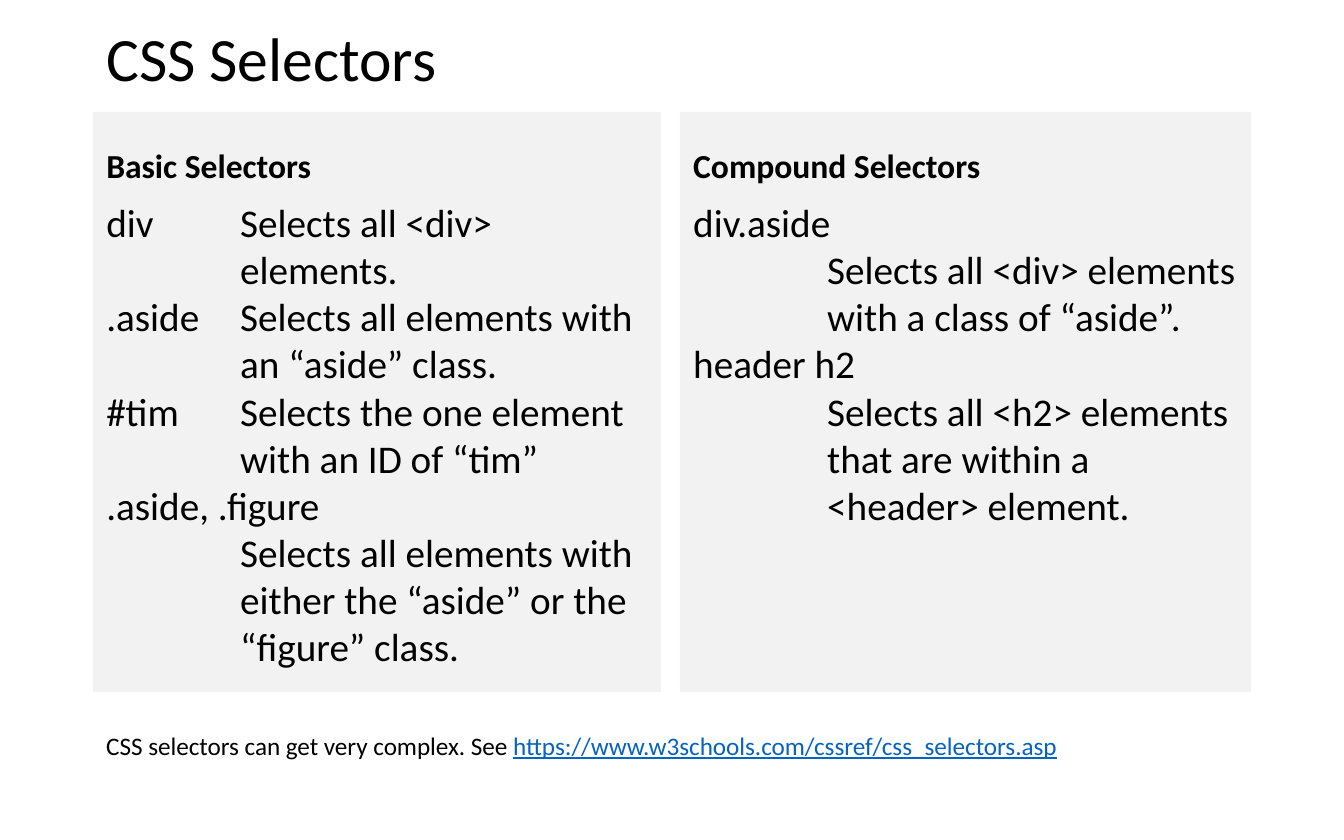
"""Build the CSS Selectors slide with two panels of selector definitions."""
from dataclasses import dataclass

from pptx import Presentation
from pptx import util as u
from pptx.dml.color import RGBColor
from pptx.enum import shapes, text


@dataclass(frozen=True)
class Theme:
    font: str = "Calibri"
    ink: RGBColor = RGBColor(0, 0, 0)
    link: RGBColor = RGBColor(0x05, 0x63, 0xC1)
    panel: RGBColor = RGBColor(0xF2, 0xF2, 0xF2)
    title: float = 33
    heading: float = 18
    body: float = 21
    note: float = 13.5


THEME = Theme()
TOP, LEFT = text.MSO_ANCHOR.TOP, text.PP_ALIGN.LEFT


def px(count):
    return u.Emu(round(count * 914400 / 134.4))


def write(shape, lines, size, anchor=TOP, bold=False, spacing=1.0, hanging=0):
    frame = shape.text_frame
    frame.word_wrap = True
    frame.vertical_anchor = anchor
    for index, line in enumerate(lines):
        paragraph = frame.add_paragraph() if index else frame.paragraphs[0]
        paragraph.text = line
        paragraph.alignment = LEFT
        paragraph.line_spacing = spacing
        if hanging:
            properties = paragraph._p.get_or_add_pPr()
            properties.set("marL", str(px(hanging)))
            properties.set("indent", str(-px(hanging)))
        for run in paragraph.runs:
            run.font.name = THEME.font
            run.font.size = u.Pt(size)
            run.font.bold = bold
            run.font.color.rgb = THEME.ink


presentation = Presentation()
presentation.slide_width, presentation.slide_height = px(1344), px(840)
slide = presentation.slides.add_slide(presentation.slide_layouts[6])

title = slide.shapes.add_textbox(px(93), px(11), px(1159), px(101))
write(title, ["CSS Selectors"], THEME.title, text.MSO_ANCHOR.MIDDLE, spacing=0.9)

columns = [
    (93, 568, "Basic Selectors", [
        "div\tSelects all <div> elements.",
        ".aside\tSelects all elements with an “aside” class.",
        "#tim\tSelects the one element with an ID of “tim”",
        ".aside, .figure\vSelects all elements with either the “aside” or the “figure” class.",
    ]),
    (680, 571, "Compound Selectors", [
        "div.aside",
        "\tSelects all <div> elements with a class of “aside”.",
        "header h2",
        "\tSelects all <h2> elements that are within a <header> element.",
    ]),
]
for left, width, heading, definitions in columns:
    heading_panel, body_panel = [
        slide.shapes.add_shape(shapes.MSO_SHAPE.RECTANGLE, px(left), px(top), px(width), px(height))
        for top, height in ((112, 80), (192, 500))
    ]
    for panel in (heading_panel, body_panel):
        panel.shadow.inherit = False
        panel.fill.solid()
        panel.fill.fore_color.rgb = THEME.panel
        panel.line.fill.background()
    write(heading_panel, [heading], THEME.heading, text.MSO_ANCHOR.BOTTOM, bold=True, spacing=0.9)
    write(body_panel, definitions, THEME.body, hanging=134)

note = slide.shapes.add_textbox(px(93), px(724), px(1095), px(44))
write(note, ["CSS selectors can get very complex. See "], THEME.note)
address = note.text_frame.paragraphs[0].add_run()
address.text = "https://www.w3schools.com/cssref/css_selectors.asp"
address.font.name = THEME.font
address.font.size = u.Pt(THEME.note)
address.font.underline = True
address.font.color.rgb = THEME.link

presentation.save("out.pptx")
